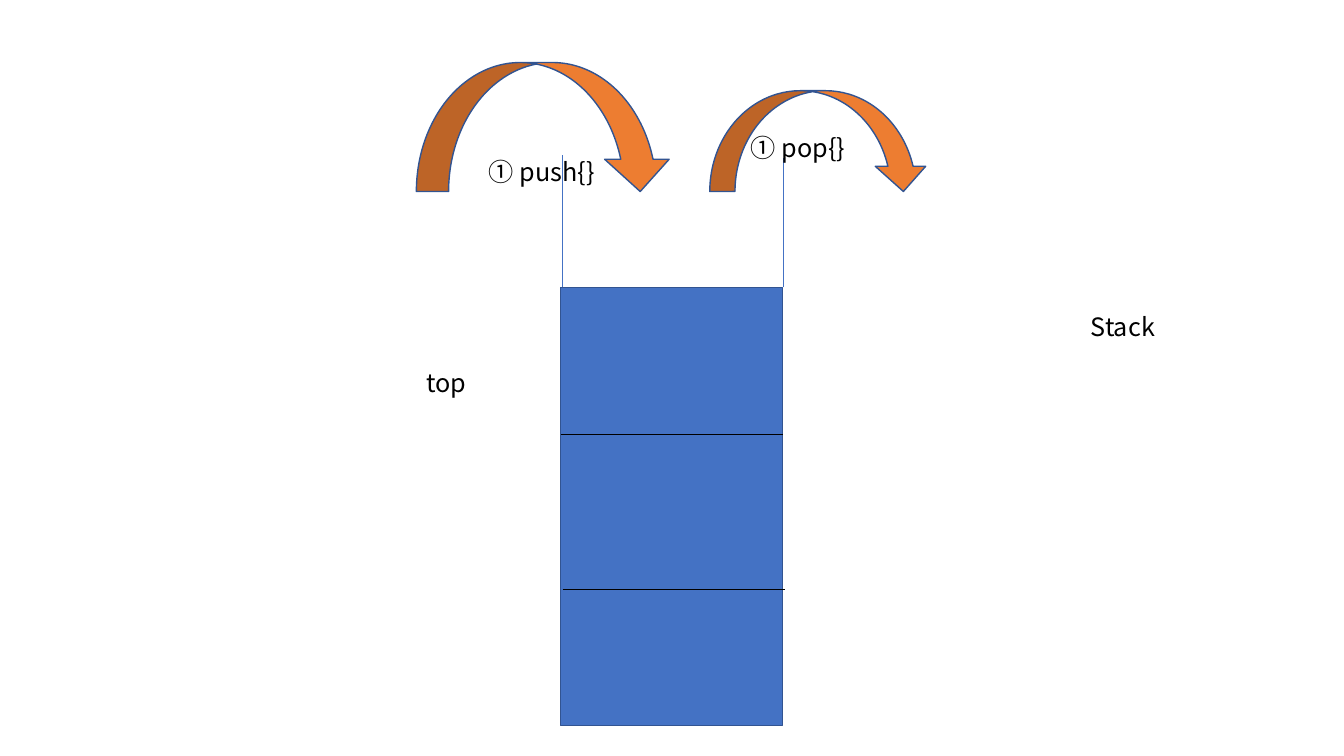
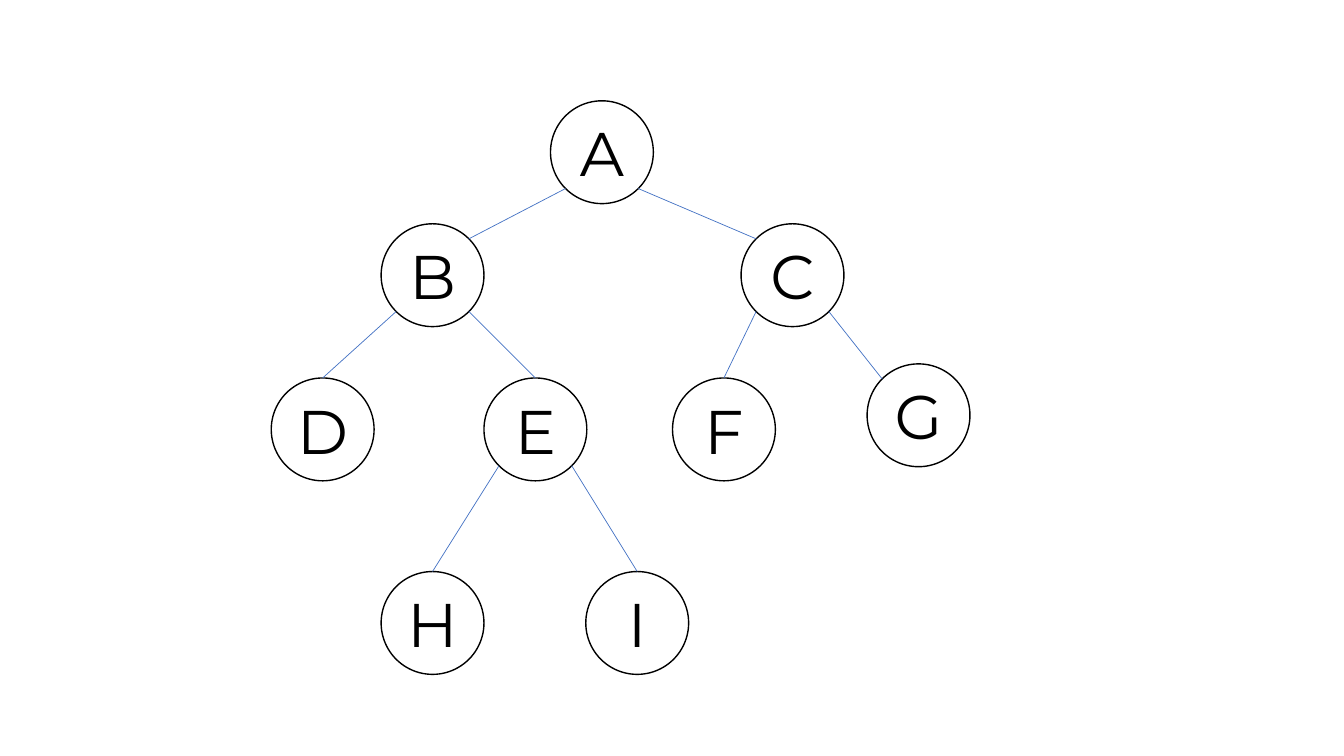
from lxml import etree
from pptx import Presentation
from pptx.dml.color import RGBColor
from pptx.enum.shapes import MSO_CONNECTOR, MSO_SHAPE
from pptx.enum.text import MSO_ANCHOR, MSO_AUTO_SIZE, PP_ALIGN
from pptx.oxml.ns import qn
from pptx.util import Inches, Pt

COLORS = {name: RGBColor.from_string(value) for name, value in {
    "blue": "4472C4", "outline": "325491", "orange": "ED7D31",
    "black": "000000", "white": "FFFFFF"}.items()}
LABEL_FONT = "Noto Sans CJK KR"
NODE_FONT = "Montserrat"

prs = Presentation()
prs.slide_width, prs.slide_height = Inches(13.33), Inches(7.5)
blank = prs.slide_layouts[6]


def add_box(s, preset, at, fill, line):
    sp = s.shapes.add_shape(preset, *map(Inches, at))
    sp.shadow.inherit = False
    sp.fill.solid()
    sp.fill.fore_color.rgb = COLORS[fill]
    sp.line.color.rgb = COLORS[line]
    sp.line.width = Pt(1)
    return sp


def add_line(s, start, end, color):
    cxn = s.shapes.add_connector(MSO_CONNECTOR.STRAIGHT, *map(Inches, (*start, *end)))
    cxn.line.color.rgb = COLORS[color]
    cxn.line.width = Pt(0.5)
    etree.SubElement(cxn._element.spPr, qn("a:effectLst"))


s = prs.slides.add_slide(blank)
add_box(s, MSO_SHAPE.RECTANGLE, (5.56, 2.85, 2.2, 4.35), "blue", "outline")
for left, y in ((5.58, 5.85), (5.56, 4.31)):
    add_line(s, (left, y), (left + 2.21, y), "black")
for x, top in ((7.77, 1.57), (5.58, 1.54)):
    add_line(s, (x, 2.85), (x, top), "blue")
for at in ((4.13, 0.62, 2.54, 1.28), (7.04, 0.9, 2.17, 1)):
    add_box(s, MSO_SHAPE.CURVED_DOWN_ARROW, at, "orange", "outline")

labels = [
    ("top", 4.13, 3.59, 1.06, 0.4),
    ("① pop{}", 7.35, 1.26, 1.19, 0.4),
    ("① push{}", 4.75, 1.5, 1.58, 0.4),
    ("Stack", 10.72, 3.04, 1.06, 0.71),
]
for text, *at in labels:
    tf = s.shapes.add_textbox(*map(Inches, at)).text_frame
    tf.word_wrap = True
    tf.auto_size = MSO_AUTO_SIZE.SHAPE_TO_FIT_TEXT
    p = tf.paragraphs[0]
    p.text = text
    p.font.size = Pt(18)
    p.font.color.rgb = COLORS["black"]
    p.font.name = LABEL_FONT
    for latin in p._p.iter(qn("a:latin")):
        ea = etree.Element(qn("a:ea"), typeface=LABEL_FONT)
        latin.addnext(ea)

s = prs.slides.add_slide(blank)
SIZE = 1.02
RADIUS = SIZE / 2
DIAGONAL = RADIUS * 0.5 ** 0.5
nodes = {
    "A": (5.46, 1), "B": (3.78, 2.22), "C": (7.35, 2.22),
    "D": (2.69, 3.75), "E": (4.8, 3.75), "F": (6.67, 3.75),
    "G": (8.6, 3.61), "H": (3.78, 5.67), "I": (5.81, 5.67),
}
for name, (left, top) in nodes.items():
    sp = add_box(s, MSO_SHAPE.OVAL, (left, top, SIZE, SIZE), "white", "black")
    tf = sp.text_frame
    tf.vertical_anchor = MSO_ANCHOR.MIDDLE
    p = tf.paragraphs[0]
    p.text = name
    p.alignment = PP_ALIGN.CENTER
    p.font.size = Pt(44)
    p.font.name = NODE_FONT
    p.font.color.rgb = COLORS["black"]

sites = {
    "top": (0, -RADIUS),
    "top_left": (-DIAGONAL, -DIAGONAL),
    "top_right": (DIAGONAL, -DIAGONAL),
    "bottom_left": (-DIAGONAL, DIAGONAL),
    "bottom_right": (DIAGONAL, DIAGONAL),
}
edges = [
    ("A", "bottom_left", "B", "top_right"),
    ("A", "bottom_right", "C", "top_left"),
    ("B", "bottom_left", "D", "top"),
    ("B", "bottom_right", "E", "top"),
    ("C", "bottom_left", "F", "top"),
    ("C", "bottom_right", "G", "top_left"),
    ("E", "bottom_left", "H", "top"),
    ("E", "bottom_right", "I", "top"),
]
for parent, exit_site, child, entry_site in edges:
    start, end = [
        [corner + RADIUS + offset for corner, offset in zip(nodes[node], sites[site])]
        for node, site in ((parent, exit_site), (child, entry_site))]
    add_line(s, start, end, "blue")

prs.save("out.pptx")
